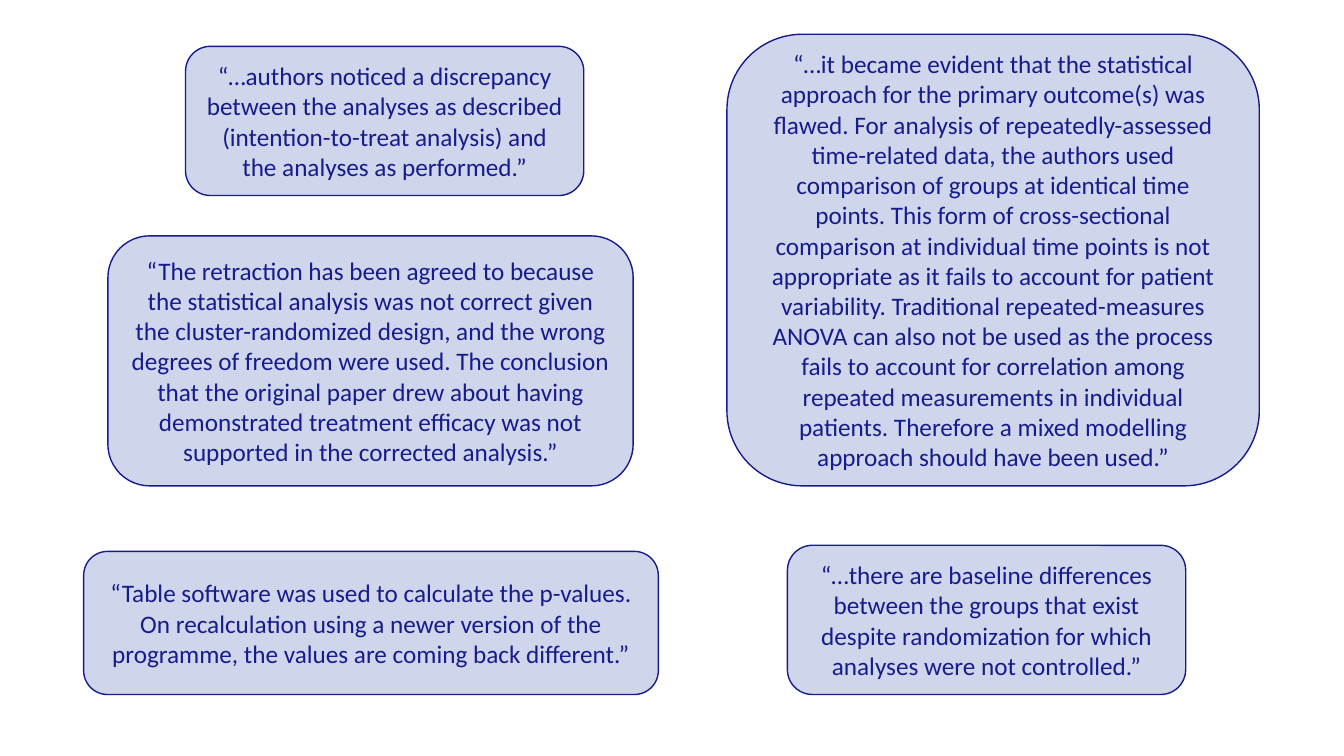
from pptx import Presentation
from pptx.dml.color import RGBColor
from pptx.enum.shapes import MSO_SHAPE as Shape
from pptx.enum.text import MSO_ANCHOR as Anchor, PP_ALIGN as Align
from pptx.util import Inches, Pt

COLORS = {"fill": "CFD5EA", "ink": "171C8C"}

# left, top, width, height, text
QUOTES = [
    (7.81, 5.41, 3.95, 1.48,
     "“…there are baseline differences between the groups that exist "
     "despite randomization for which analyses were not controlled.”"),
    (1.07, 2.34, 5.21, 2.48,
     "“The retraction has been agreed to because the statistical analysis "
     "was not correct given the cluster-randomized design, and the wrong "
     "degrees of freedom were used. The conclusion that the original paper "
     "drew about having demonstrated treatment efficacy was not supported "
     "in the corrected analysis.”"),
    (0.83, 5.47, 5.7, 1.42,
     "“Table software was used to calculate the p-values. On recalculation "
     "using a newer version of the programme, the values are coming back "
     "different.”"),
    (7.21, 0.34, 5.28, 4.48,
     "“…it became evident that the statistical approach for the primary "
     "outcome(s) was flawed. For analysis of repeatedly-assessed "
     "time-related data, the authors used comparison of groups at identical "
     "time points. This form of cross-sectional comparison at individual "
     "time points is not appropriate as it fails to account for patient "
     "variability. Traditional repeated-measures ANOVA can also not be used "
     "as the process fails to account for correlation among repeated "
     "measurements in individual patients. Therefore a mixed modelling "
     "approach should have been used.”"),
    (1.84, 0.46, 3.95, 1.48,
     "“…authors noticed a discrepancy between the analyses as described "
     "(intention-to-treat analysis) and the analyses as performed.”"),
]

deck = Presentation()
deck.slide_width, deck.slide_height = Inches(13.33), Inches(7.5)
slide = deck.slides.add_slide(deck.slide_layouts[6])
ink = RGBColor.from_string(COLORS["ink"])

for *place, text in QUOTES:
    box = slide.shapes.add_shape(Shape.ROUNDED_RECTANGLE, *map(Inches, place))
    box.shadow.inherit = False
    box.fill.solid()
    box.fill.fore_color.rgb = RGBColor.from_string(COLORS["fill"])
    box.line.color.rgb = ink
    box.line.width = Pt(1)

    frame = box.text_frame
    frame.word_wrap = True
    frame.vertical_anchor = Anchor.MIDDLE
    frame.text = text
    para = frame.paragraphs[0]
    para.alignment = Align.CENTER
    font = para.runs[0].font
    font.name = "Calibri"
    font.size = Pt(18)
    font.color.rgb = ink

deck.save("out.pptx")
